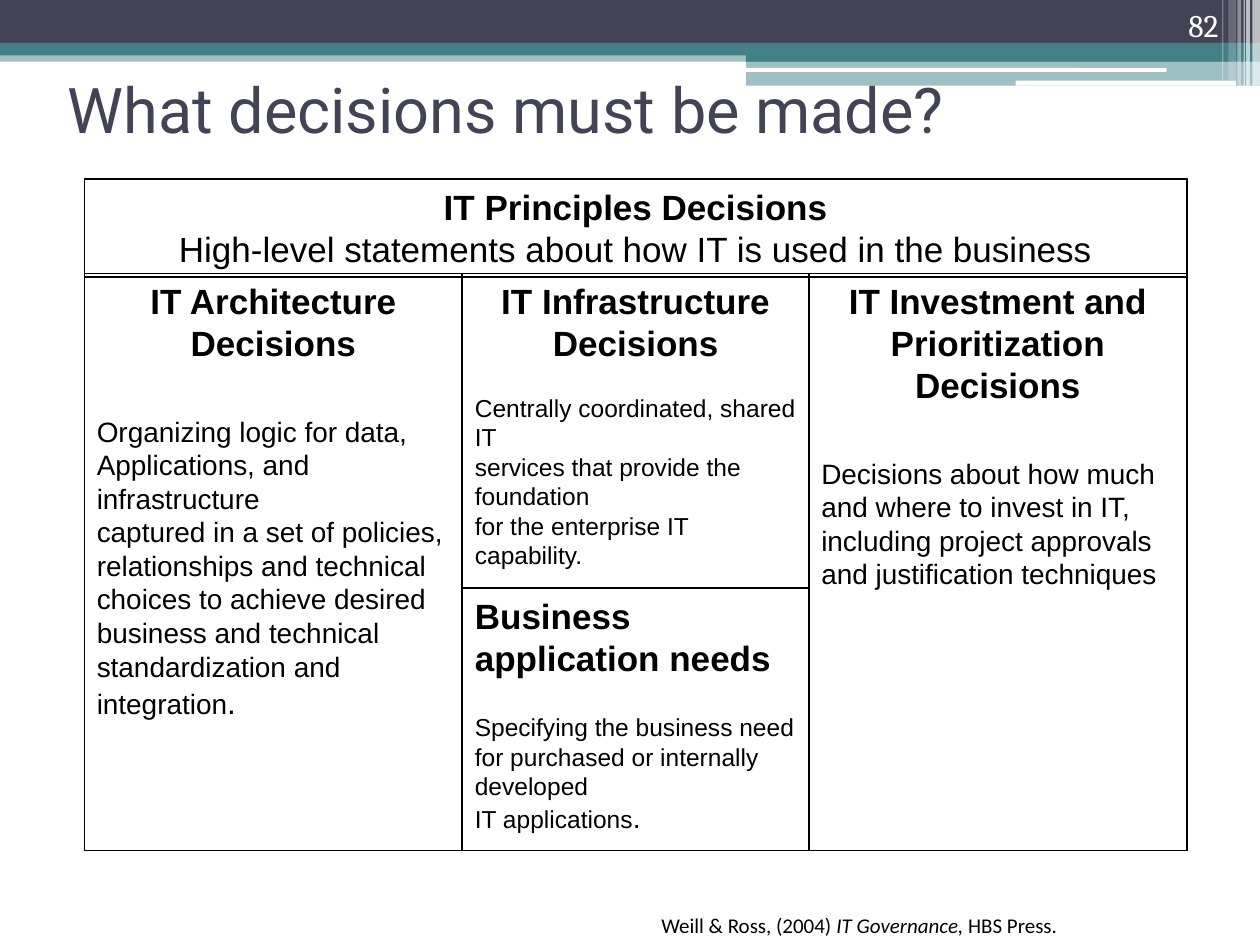
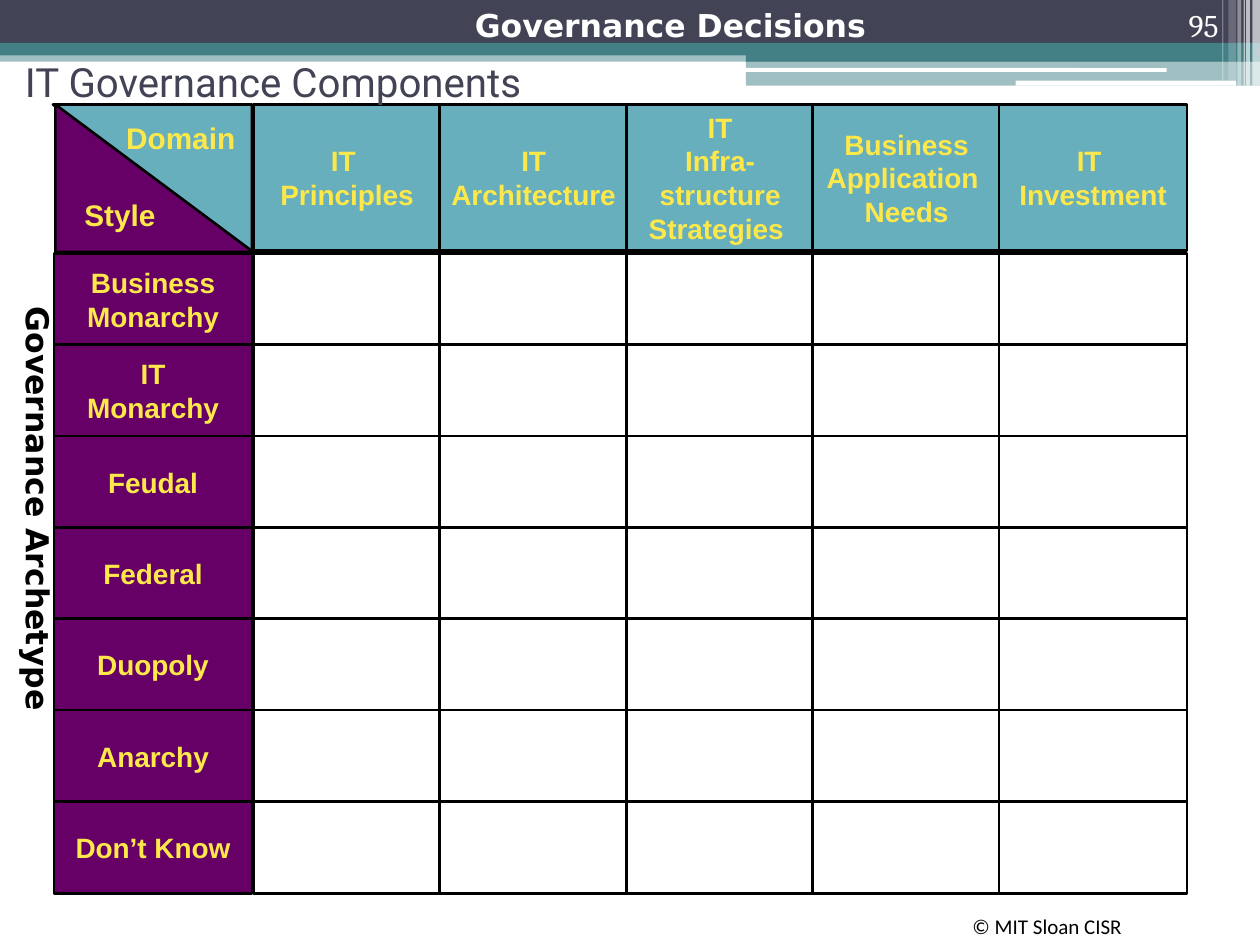
from dataclasses import dataclass, replace

from pptx import Presentation
from pptx.dml.color import RGBColor
from pptx.enum.shapes import MSO_SHAPE as Preset
from pptx.enum.text import MSO_ANCHOR as Anchor, PP_ALIGN as Align
from pptx.oxml.xmlchemy import OxmlElement
from pptx.util import Inches, Pt

NAVY, TEAL, WHITE, BLACK = "424456", "438086", "FFFFFF", "000000"
SKY, PURPLE, YELLOW = "67AFBD", "660066", "FDE84B"
LINE_HEIGHT = 1.2

BANDS = [
    (0, 0.4, 10, 0.09, TEAL, 50),
    (0, 0, 10, 0.34, NAVY, 100),
    (0, 0.34, 10, 0.1, TEAL, 100),
    (5.92, 0.39, 4.08, 0.1, TEAL, 100),
    (5.92, 0.48, 4.08, 0.2, TEAL, 50),
]
HIGHLIGHTS = [(5.91, 0.54, 3.35, 0.03), (8.06, 0.64, 1.75, 0.04)]
STRIPES = [
    (9.94, 0.06, 0.68, 65),
    (9.89, 0.03, 0.68, 65),
    (9.87, 0.01, 0.68, 60),
    (9.82, 0.03, 0.68, 40),
    (9.75, 0.06, 0.64, 20),
    (9.7, 0.01, 0.64, 30),
]


@dataclass(frozen=True)
class Style:
    size: float
    font: str = "Arial"
    color: str = BLACK
    bold: bool = False
    italic: bool = False


@dataclass
class Para:
    runs: list
    align: Align = Align.LEFT
    before: float = 0


HEADING = Style(20, bold=True)
GRID_LABEL = Style(16, color=YELLOW, bold=True)
CORNER_LABEL = replace(GRID_LABEL, size=17)
SOURCE_NOTE = Style(12, "Calibri")
AXIS = Style(18, "DejaVu Sans", bold=True)


def rgb(value):
    return RGBColor.from_string(value)


def lines(texts, style, align=Align.LEFT, gap=0):
    return [Para([(text, style)], align, 0 if i else gap * LINE_HEIGHT)
            for i, text in enumerate(texts)]


def write(shape, paras, anchor=Anchor.TOP, wrap=True):
    frame = shape.text_frame
    frame.word_wrap = wrap
    frame.vertical_anchor = anchor
    for i, para in enumerate(paras):
        paragraph = frame.add_paragraph() if i else frame.paragraphs[0]
        paragraph.alignment = para.align
        if para.before:
            paragraph.space_before = Pt(para.before)
        for text, style in para.runs:
            for n, part in enumerate(text.split("\n")):
                if n:
                    paragraph.add_line_break()
                run = paragraph.add_run()
                run.text = part
                font = run.font
                font.name, font.size = style.font, Pt(style.size)
                font.bold, font.italic = style.bold, style.italic
                font.color.rgb = rgb(style.color)


def add_text(slide, at, paras, anchor=Anchor.TOP):
    box = slide.shapes.add_textbox(*map(Inches, at))
    write(box, paras, anchor)
    return box


def add_block(slide, at, fill=None, line=None, preset=Preset.RECTANGLE, opacity=100):
    block = slide.shapes.add_shape(preset, *map(Inches, at))
    block.shadow.inherit = False
    if fill:
        block.fill.solid()
        block.fill.fore_color.rgb = rgb(fill)
    else:
        block.fill.background()
    if line:
        block.line.color.rgb = rgb(BLACK)
        block.line.width = Pt(line)
    else:
        block.line.fill.background()
    if opacity < 100:
        alpha = OxmlElement("a:alpha")
        alpha.set("val", str(opacity * 1000))
        block.fill._xPr.find(".//{*}srgbClr").append(alpha)
    return block


def add_header_bands(slide):
    for *at, color, opacity in BANDS:
        add_block(slide, at, color, opacity=opacity)
    for at in HIGHLIGHTS:
        add_block(slide, at, WHITE, preset=Preset.ROUNDED_RECTANGLE)
    for left, width, height, opacity in STRIPES:
        add_block(slide, (left, 0, width, height), WHITE, opacity=opacity)


def add_title(slide, at, text, size):
    add_text(slide, at, lines([text], Style(size, "Roboto", NAVY)), Anchor.MIDDLE)


def add_number(slide, number):
    style = Style(18, "Cambria", WHITE)
    add_text(slide, (8.94, 0, 0.83, 0.4), lines([number], style, Align.RIGHT), Anchor.BOTTOM)


def add_decision(slide, at, paras):
    write(add_block(slide, at, line=1), paras)


def add_grid_cell(slide, at, fill, texts=()):
    cell = add_block(slide, at, fill, 1.5)
    if texts:
        write(cell, lines(texts, GRID_LABEL, Align.CENTER), Anchor.MIDDLE, wrap=False)


def add_corner(slide):
    domain = add_block(slide, (0.42, 0.83, 1.58, 1.17), SKY, 1.5, Preset.RIGHT_TRIANGLE)
    transform = domain._element.spPr.find("{*}xfrm")
    transform.set("flipH", "1")
    transform.set("flipV", "1")
    write(domain, lines(["Domain"], CORNER_LABEL, Align.RIGHT), wrap=False)
    frame = domain.text_frame
    frame.margin_left, frame.margin_right = Inches(0.01), 0
    frame.margin_top = frame.margin_bottom = Inches(0.02)
    frame._txBody.bodyPr.set("rot", "10800000")
    style = add_block(slide, (0.44, 0.83, 1.57, 1.17), PURPLE, 1.5, Preset.RIGHT_TRIANGLE)
    write(style, lines(["Style"], CORNER_LABEL), Anchor.MIDDLE, wrap=False)


def build_decisions(slide):
    add_header_bands(slide)
    add_title(slide, (0.44, 0.4, 8.97, 0.92), "What decisions must be made?", 36)
    add_block(slide, (0.67, 1.42, 8.75, 5.33), WHITE, 1)

    body, small = Style(16), Style(14)
    add_decision(slide, (0.67, 1.42, 8.75, 0.78),
                 lines(["IT Principles Decisions"], HEADING, Align.CENTER)
                 + lines(["High-level statements about how IT is used in the business"],
                         Style(20), Align.CENTER))

    architecture = lines(["Organizing logic for data,",
                          "Applications, and infrastructure",
                          "captured in a set of policies,",
                          "relationships and technical",
                          "choices to achieve desired",
                          "business and technical",
                          "standardization and integration"], body, gap=24)
    architecture[-1].runs.append((".", Style(18)))
    add_decision(slide, (0.67, 2.17, 3, 4.58),
                 lines(["IT Architecture Decisions"], HEADING, Align.CENTER) + architecture)

    add_decision(slide, (3.67, 2.17, 2.75, 2.5),
                 lines(["IT Infrastructure", "Decisions"], HEADING, Align.CENTER)
                 + lines(["Centrally coordinated, shared IT",
                          "services that provide the foundation",
                          "for the enterprise IT capability."], small, gap=14))

    needs = lines(["Specifying the business need",
                   "for purchased or internally developed",
                   "IT applications"], small, gap=16)
    needs[-1].runs.append((".", body))
    add_decision(slide, (3.67, 4.67, 2.75, 2.08),
                 lines(["Business application needs"], HEADING) + needs)

    add_decision(slide, (6.42, 2.17, 3, 4.58),
                 lines(["IT Investment and Prioritization Decisions"], HEADING, Align.CENTER)
                 + lines(["Decisions about how much and where to invest in IT, including "
                          "project approvals and justification techniques"], body, gap=24))

    add_number(slide, "82")
    citation = Para([("Weill & Ross, (2004) ", SOURCE_NOTE),
                     ("IT Governance,", replace(SOURCE_NOTE, italic=True)),
                     (" HBS Press.", SOURCE_NOTE)])
    add_text(slide, (5.15, 7.19, 3.83, 0.3), [citation])


def build_components(slide):
    domains = [["IT \nPrinciples"], ["IT\nArchitecture"],
               ["IT\n Infra- \nstructure", "Strategies "],
               ["Business", "Application \nNeeds"], ["IT \nInvestment"]]
    archetypes = [["Business", "Monarchy"], ["IT", "Monarchy"], ["Feudal"], ["Federal"],
                  ["Duopoly"], ["Anarchy"], ["Don’t Know"]]
    lefts = [2.01 + 1.48 * column for column in range(len(domains))]

    add_header_bands(slide)
    for left, domain in zip(lefts, domains):
        add_grid_cell(slide, (left, 0.83, 1.49, 1.16), SKY, domain)
    for row, archetype in enumerate(archetypes):
        top = 2.01 + 0.725 * row
        for left in lefts:
            add_grid_cell(slide, (left, top, 1.49, 0.73), WHITE)
        add_grid_cell(slide, (0.43, top, 1.57, 0.73), PURPLE, archetype)
    add_corner(slide)

    add_text(slide, (7.62, 7.15, 1.97, 0.3), lines(["© MIT Sloan CISR"], SOURCE_NOTE)
             ).top = Inches(7.2)
    add_title(slide, (0.1, 0.4, 7.5, 0.5), "IT Governance Components", 23)
    vertical_axis = add_text(slide, (-1.58, 4.02, 3.77, 0.4),
                             lines(["Governance Archetype"], AXIS))
    vertical_axis.rotation = 90
    add_text(slide, (3.67, 0, 3.77, 0.4),
             lines(["Governance Decisions"], replace(AXIS, color=WHITE)))
    add_number(slide, "95")


def main():
    deck = Presentation()
    deck.slide_width, deck.slide_height = Inches(10), Inches(7.5)
    blank = deck.slide_layouts[6]
    for build in (build_decisions, build_components):
        build(deck.slides.add_slide(blank))
    deck.save("out.pptx")


if __name__ == "__main__":
    main()
